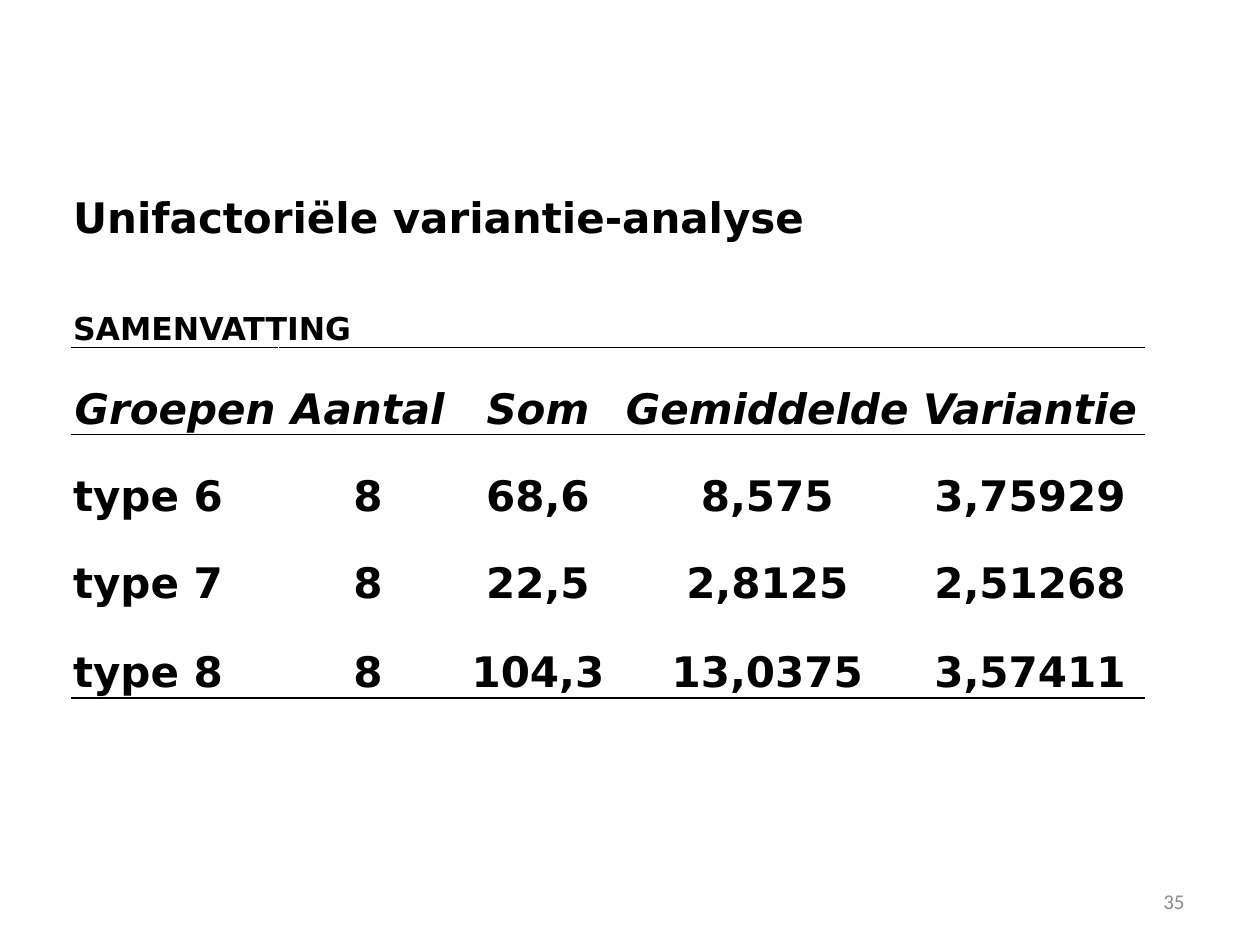
from lxml import etree
from pptx import Presentation
from pptx.dml.color import RGBColor
from pptx.enum.text import MSO_ANCHOR, PP_ALIGN
from pptx.oxml.ns import qn
from pptx.util import Inches, Pt

BLACK = RGBColor(0x00, 0x00, 0x00)
GRAY = RGBColor(0x8C, 0x8C, 0x8C)
BOTTOM, MIDDLE = MSO_ANCHOR.BOTTOM, MSO_ANCHOR.MIDDLE
LEFT, CENTER, RIGHT = PP_ALIGN.LEFT, PP_ALIGN.CENTER, PP_ALIGN.RIGHT

TITLE_ROW, SUMMARY_ROW, HEADER_ROW = 0, 2, 3
COLUMN_WIDTHS = [1.64, 1.42, 1.28, 2.36, 1.81]
ROW_HEIGHTS = [0.69, 0.29, 0.54, 0.69, 0.69, 0.69, 0.71]
ROWS = [
    ["Unifactoriële variantie-analyse", "", "", "", ""],
    ["", "", "", "", ""],
    ["SAMENVATTING", "", "", "", ""],
    ["Groepen", "Aantal", "Som", "Gemiddelde", "Variantie"],
    ["type 6", "8", "68,6", "8,575", "3,75929"],
    ["type 7", "8", "22,5", "2,8125", "2,51268"],
    ["type 8", "8", "104,3", "13,0375", "3,57411"],
]
RULES = {2: [("a:lnB", 1)], 3: [("a:lnT", 1), ("a:lnB", 0.5)],
         4: [("a:lnT", 0.5)], 6: [("a:lnB", 1)]}


def add_border(cell, side, width):
    line = etree.SubElement(cell._tc.get_or_add_tcPr(), qn(side), w=str(Pt(width)))
    fill = etree.SubElement(line, qn("a:solidFill"))
    etree.SubElement(fill, qn("a:srgbClr"), val=str(BLACK))


prs = Presentation()
prs.slide_width, prs.slide_height = Inches(10), Inches(7.5)
slide = prs.slides.add_slide(prs.slide_layouts[6])

summary = slide.shapes.add_table(
    len(ROWS), len(COLUMN_WIDTHS), Inches(0.57), Inches(1.24),
    Inches(sum(COLUMN_WIDTHS)), Inches(sum(ROW_HEIGHTS))).table
summary.first_row = False
summary.horz_banding = False
for column, width in zip(summary.columns, COLUMN_WIDTHS):
    column.width = Inches(width)
for row, height in zip(summary.rows, ROW_HEIGHTS):
    row.height = Inches(height)
summary.cell(TITLE_ROW, 0).merge(summary.cell(TITLE_ROW, 3))
summary.cell(SUMMARY_ROW, 0).merge(summary.cell(SUMMARY_ROW, 1))

for r, texts in enumerate(ROWS):
    for c, text in enumerate(texts):
        cell = summary.cell(r, c)
        cell.margin_left = cell.margin_right = cell.margin_top = Inches(0.01)
        cell.margin_bottom = 0
        cell.vertical_anchor = BOTTOM
        for side, width in RULES.get(r, []):
            add_border(cell, side, width)
        cell.fill.background()
        paragraph = cell.text_frame.paragraphs[0]
        if text:
            paragraph.text = text
        paragraph.alignment = CENTER if r == HEADER_ROW or c > 0 else LEFT
        font = paragraph.font
        font.name = "DejaVu Sans"
        font.size = Pt(18 if r == SUMMARY_ROW else 24) if text else Pt(12)
        font.bold = True
        font.italic = r == HEADER_ROW
        font.color.rgb = BLACK

page_number = slide.shapes.add_textbox(
    Inches(7.17), Inches(6.95), Inches(2.33), Inches(0.4)).text_frame
page_number.word_wrap = True
page_number.vertical_anchor = MIDDLE
number = page_number.paragraphs[0]
number.text = "35"
number.alignment = RIGHT
number.font.name = "Calibri"
number.font.size = Pt(12)
number.font.color.rgb = GRAY

prs.save("out.pptx")
